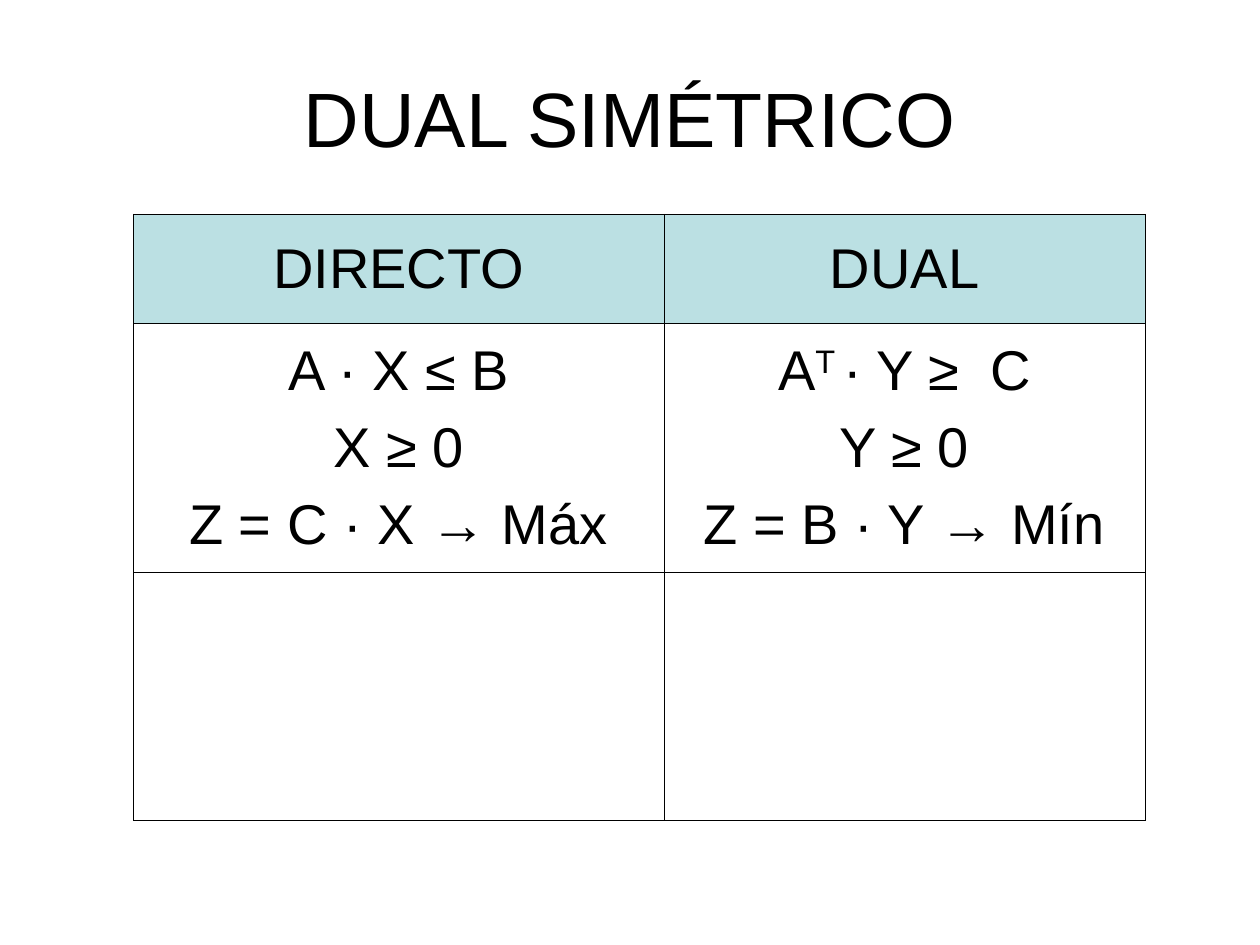
from dataclasses import dataclass

from pptx import Presentation
from pptx.dml.color import RGBColor
from pptx.enum.text import MSO_ANCHOR, PP_ALIGN
from pptx.oxml import parse_xml
from pptx.oxml.ns import nsdecls
from pptx.slide import Slide
from pptx.util import Inches, Pt

BLACK = RGBColor(0x00, 0x00, 0x00)
WHITE = RGBColor(0xFF, 0xFF, 0xFF)
PALE_TEAL = RGBColor(0xBB, 0xE0, 0xE3)

GRID_COLUMNS, GRID_ROWS = 100, 75
SUPERSCRIPT = "30000"

HEADINGS = ["DIRECTO", "DUAL"]
DIRECT_PROBLEM = [["A · X ≤ B"], ["X ≥ 0"], ["Z = C · X → Máx"]]
DUAL_PROBLEM = [
    ["A", ("T ", SUPERSCRIPT), "· Y ≥  C"],
    ["Y ≥ 0"],
    ["Z = B · Y → Mín"],
]


@dataclass
class SlideBuilder:
    """Draws styled elements on a slide divided into a grid of columns and rows."""

    slide: Slide
    width: int
    height: int
    font_name: str = "Arial"
    title_size: float = 44
    table_size: float = 32
    line_gap: float = 8
    border_width: float = 0.45

    def across(self, columns):
        return round(self.width * columns / GRID_COLUMNS)

    def down(self, rows):
        return round(self.height * rows / GRID_ROWS)

    def add_lines(self, frame, lines, size):
        for index, line in enumerate(lines):
            paragraph = frame.add_paragraph() if index else frame.paragraphs[0]
            paragraph.alignment = PP_ALIGN.CENTER
            if index:
                paragraph.space_before = Pt(self.line_gap)
            for piece in line:
                words, baseline = (piece, None) if isinstance(piece, str) else piece
                run = paragraph.add_run()
                run.text = words
                run.font.name = self.font_name
                run.font.size = Pt(size)
                run.font.color.rgb = BLACK
                if baseline:
                    run._r.get_or_add_rPr().set("baseline", baseline)

    def title(self, words, left, top, width, height):
        frame = self.slide.shapes.add_textbox(
            self.across(left), self.down(top), self.across(width), self.down(height)
        ).text_frame
        frame.word_wrap = True
        frame.vertical_anchor = MSO_ANCHOR.MIDDLE
        self.add_lines(frame, [[words]], self.title_size)

    def border(self, cell):
        properties = cell._tc.get_or_add_tcPr()
        for position, side in enumerate(("lnL", "lnR", "lnT", "lnB")):
            properties.insert(position, parse_xml(
                f'<a:{side} {nsdecls("a")} w="{Pt(self.border_width)}">'
                f'<a:solidFill><a:srgbClr val="{BLACK}"/></a:solidFill></a:{side}>'
            ))

    def table(self, contents, left, top, column_widths, row_heights):
        table = self.slide.shapes.add_table(
            len(row_heights), len(column_widths),
            self.across(left), self.down(top),
            self.across(sum(column_widths)), self.down(sum(row_heights)),
        ).table
        table.first_row = table.horz_banding = False
        for column, width in zip(table.columns, column_widths):
            column.width = self.across(width)
        for row, height in zip(table.rows, row_heights):
            row.height = self.down(height)
        for row_index, row_contents in enumerate(contents):
            for column_index, lines in enumerate(row_contents):
                cell = table.cell(row_index, column_index)
                cell.vertical_anchor = MSO_ANCHOR.MIDDLE
                cell.fill.solid()
                cell.fill.fore_color.rgb = WHITE if row_index else PALE_TEAL
                self.border(cell)
                self.add_lines(cell.text_frame, lines, self.table_size)


def main():
    presentation = Presentation()
    presentation.slide_width, presentation.slide_height = Inches(10), Inches(7.5)
    slide = presentation.slides.add_slide(presentation.slide_layouts[6])
    builder = SlideBuilder(slide, presentation.slide_width, presentation.slide_height)

    contents = [
        [[[heading]] for heading in HEADINGS],
        [DIRECT_PROBLEM, DUAL_PROBLEM],
        [[], []],
    ]
    builder.table(contents, 10.6, 17, [42.1, 38.2], [8.7, 19.7, 19.7])
    builder.title("DUAL SIMÉTRICO", 5, 3, 90, 12.5)
    presentation.save("out.pptx")


if __name__ == "__main__":
    main()
